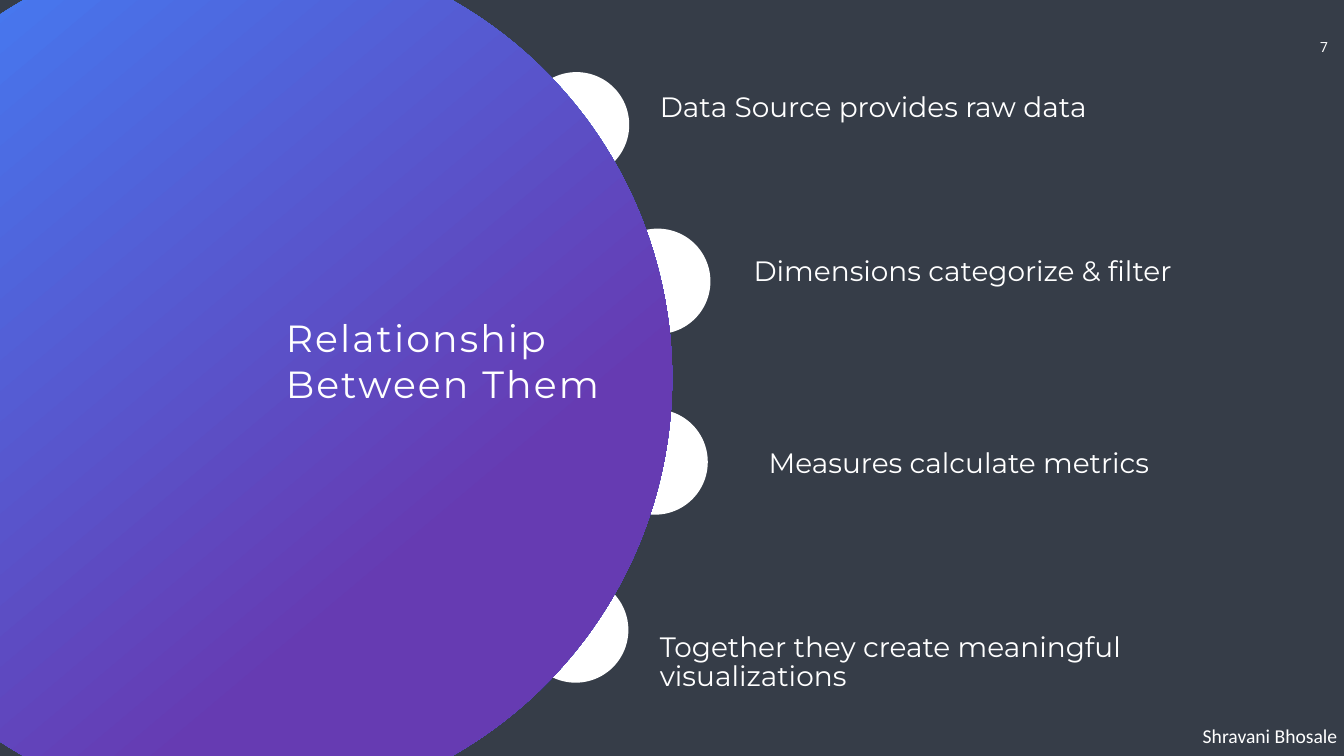
import pptx
import pptx.dml.color
import pptx.enum.shapes
import pptx.enum.text
import pptx.util

Pt = pptx.util.Pt
COLORS = {"background": "363D48", "white": "FFFFFF", "blue": "3F85FC", "purple": "663BB2"}
LINE_SPACING = 40.8
DOT_SIZE = 150.7

# Each point: dot left and top, text box, wording
POINTS = [
    ((748, 103), (935.3, 131, 641.5, 49), "Data Source provides raw data"),
    ((864, 326.6), (1069.2, 365.8, 641.5, 49), "Dimensions categorize & filter"),
    ((860.2, 584.6), (1090.8, 639.4, 917.3, 49), "Measures calculate metrics"),
    ((746.8, 824.6), (935.3, 903.6, 959.8, 90), "Together they create meaningful\nvisualizations"),
]


def color(name):
    return pptx.dml.color.RGBColor.from_string(COLORS[name])


def format_text(frame, size, font, align=pptx.enum.text.PP_ALIGN.LEFT, spacing=None):
    frame.auto_size = pptx.enum.text.MSO_AUTO_SIZE.NONE
    frame.vertical_anchor = pptx.enum.text.MSO_ANCHOR.TOP
    for paragraph in frame.paragraphs:
        paragraph.alignment = align
        if spacing:
            paragraph.line_spacing = Pt(spacing)
        for run in paragraph.runs:
            run.font.size = Pt(size)
            run.font.name = font
            run.font.color.rgb = color("white")


def add_label(slide, box, wording, size, font, **options):
    frame = slide.shapes.add_textbox(*map(Pt, box)).text_frame
    frame.word_wrap = True
    frame.text = wording
    format_text(frame, size, font, **options)


def add_circle(slide, box):
    circle = slide.shapes.add_shape(pptx.enum.shapes.MSO_SHAPE.OVAL, *map(Pt, box))
    circle.shadow.inherit = False
    circle.line.fill.background()
    return circle


def add_point_dot(slide, corner):
    dot = add_circle(slide, (*corner, DOT_SIZE, DOT_SIZE))
    dot.fill.solid()
    dot.fill.fore_color.rgb = color("white")


def add_title_disc(slide, box):
    disc = add_circle(slide, box)
    disc.fill.gradient()
    disc.fill.gradient_angle = 310
    for stop, position, name in zip(disc.fill.gradient_stops, (0, 0.71), ("blue", "purple")):
        stop.position = position
        stop.color.rgb = color(name)


def place_title(slide, box, wording):
    title = slide.shapes.title
    title.left, title.top, title.width, title.height = map(Pt, box)
    title.text_frame.text = wording
    title.text_frame.word_wrap = True
    format_text(title.text_frame, 54, "Montserrat")
    # Letter spacing of 3 pt
    title.text_frame.paragraphs[0].runs[0].font._element.set("spc", "300")
    # Bring the title in front of the disc
    title.element.getparent().append(title.element)


def build_relationship_slide(deck):
    slide = deck.slides.add_slide(deck.slide_layouts[5])
    slide.background.fill.solid()
    slide.background.fill.fore_color.rgb = color("background")

    # Page number
    add_label(slide, (1858, 51, 66, 39), "7", 20, "Roboto",
              align=pptx.enum.text.PP_ALIGN.CENTER)

    # Dots half hidden by the disc
    for corner, _, _ in POINTS:
        add_point_dot(slide, corner)

    # Disc with the title
    add_title_disc(slide, (-280.8, -80.6, 1240.8, 1241.2))
    place_title(slide, (401, 446.4, 570, 138), "Relationship Between Them")

    # Points
    for _, box, wording in POINTS:
        add_label(slide, box, wording, 40, "Montserrat", spacing=LINE_SPACING)

    # Author
    add_label(slide, (1710.7, 1031, 208.8, 41), "Shravani Bhosale", 28, "Calibri")


def main():
    deck = pptx.Presentation()
    deck.slide_width, deck.slide_height = Pt(1919.5), Pt(1080)
    build_relationship_slide(deck)
    deck.save("out.pptx")


if __name__ == "__main__":
    main()
